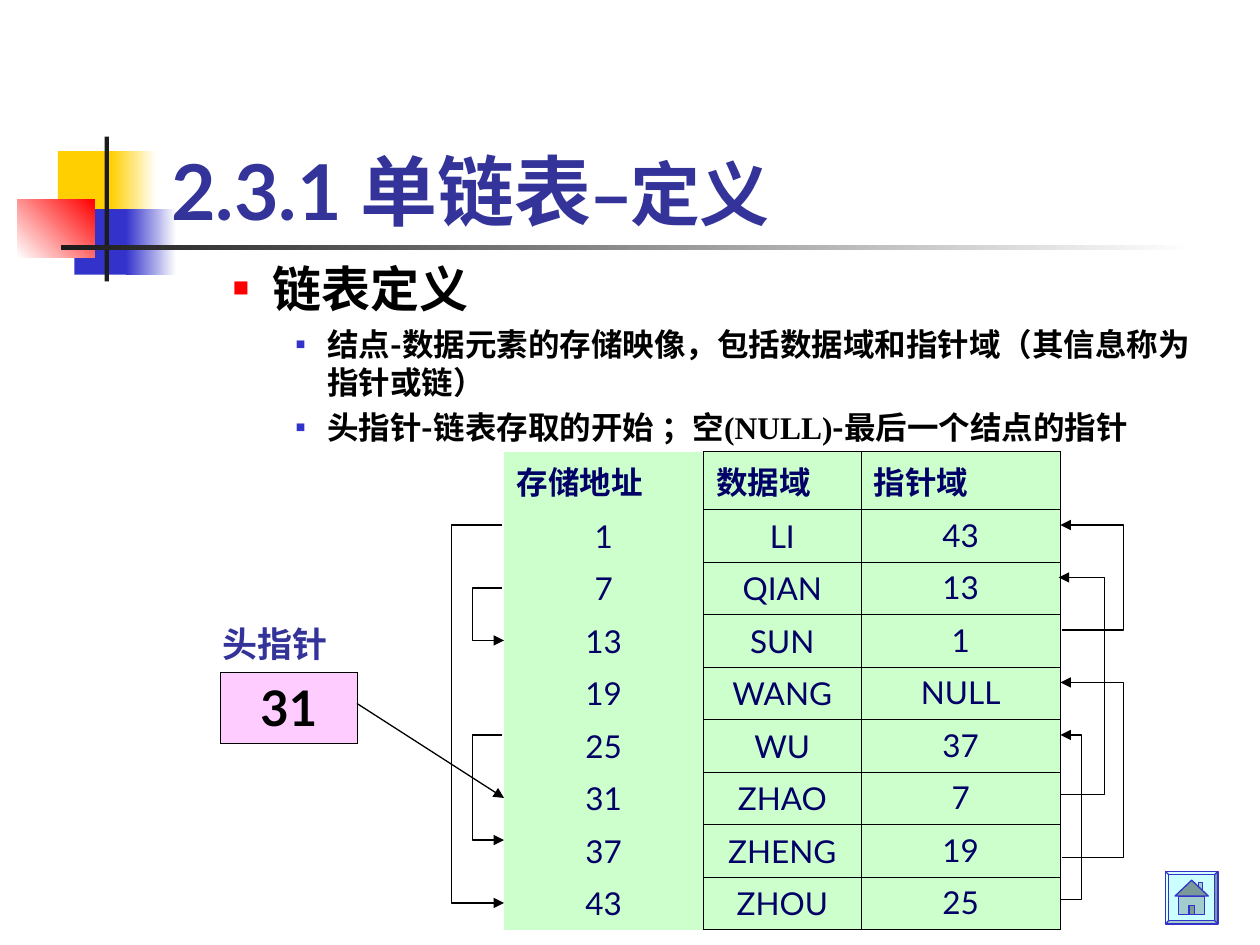
from dataclasses import dataclass
from lxml.etree import SubElement
from pptx import Presentation
from pptx.dml.color import RGBColor
from pptx.enum.shapes import MSO_CONNECTOR, MSO_SHAPE
from pptx.enum.text import MSO_ANCHOR, MSO_AUTO_SIZE, PP_ALIGN
from pptx.oxml.ns import qn
from pptx.util import Pt


@dataclass(frozen=True)
class Theme:
    """Colours, fonts and type sizes of the slide."""
    gold: str = "FFCF01"
    blue: str = "3333CC"
    red: str = "FF0000"
    dark: str = "1C1C1C"
    white: str = "FFFFFF"
    black: str = "000000"
    title: str = "333399"
    navy: str = "000066"
    green: str = "CCFFCC"
    pink: str = "FFCCFF"
    sky: str = "CCFFFF"
    wall: str = "A3CCCC"
    roof: str = "7A9999"
    sans: str = "Lato"
    serif: str = "Times New Roman"
    cjk: str = "Noto Sans CJK SC"
    title_size: int = 44
    subtitle_size: int = 40
    heading_size: int = 28
    label_size: int = 20
    text_size: int = 18
    line: float = 0.75
    border: float = 0.45


class Deck:
    """Holds the theme and the current slide, and draws each kind of element."""

    def __init__(self, prs, theme):
        self.t = theme
        self.s = prs.slides.add_slide(prs.slide_layouts[5])

    def format(self, obj, values):
        for name, value in values.items():
            setattr(obj, name, value)

    def run(self, p, text, size, font, color, bold=True):
        r = p.add_run()
        r.text = text
        self.format(r.font, {"size": Pt(size), "bold": bold, "name": font})
        r.font.color.rgb = RGBColor.from_string(color)
        SubElement(r.font._element, qn("a:ea"), typeface=self.t.cjk)

    def paint(self, sp, fill=None, line=None):
        sp.shadow.inherit = False
        if fill:
            sp.fill.solid()
            sp.fill.fore_color.rgb = RGBColor.from_string(fill)
        else:
            sp.fill.background()
        if line:
            self.stroke(sp, line)
        else:
            sp.line.fill.background()
        return sp

    def stroke(self, sp, color, arrow=False):
        sp.line.width = Pt(self.t.line)
        sp.line.color.rgb = RGBColor.from_string(color)
        if arrow:
            SubElement(sp.line._get_or_add_ln(), qn("a:tailEnd"), type="triangle")

    def box(self, x, y, w, h, fill, line=None, kind=MSO_SHAPE.RECTANGLE):
        sp = self.s.shapes.add_shape(kind, Pt(x), Pt(y), Pt(w), Pt(h))
        return self.paint(sp, fill, line)

    def fade(self, x, y, w, h, start, end, angle=0):
        fill = self.box(x, y, w, h, start).fill
        fill.gradient()
        fill.gradient_angle = angle
        for stop, color in zip(fill.gradient_stops, (start, end)):
            stop.color.rgb = RGBColor.from_string(color)

    def title(self, x, y, w, h, runs):
        sp = self.s.shapes.title
        self.s.shapes._spTree.append(sp._element)
        self.format(sp, {"left": Pt(x), "top": Pt(y), "width": Pt(w), "height": Pt(h)})
        self.format(sp.text_frame, {"vertical_anchor": MSO_ANCHOR.BOTTOM, "word_wrap": True})
        p = sp.text_frame.paragraphs[0]
        p.alignment = PP_ALIGN.LEFT
        for text, size, font in runs:
            self.run(p, text, size, font, self.t.title)

    def text(self, x, y, w, h, wrap=True):
        tf = self.s.shapes.add_textbox(Pt(x), Pt(y), Pt(w), Pt(h)).text_frame
        fit = MSO_AUTO_SIZE.NONE if wrap else MSO_AUTO_SIZE.SHAPE_TO_FIT_TEXT
        self.format(tf, {"word_wrap": wrap, "auto_size": fit})
        return tf

    def bullet(self, p, text, size, left, hang, color, percent):
        """Writes parts split by a bar in the serif and CJK fonts by turns."""
        pPr = p._p.get_or_add_pPr()
        pPr.set("marL", str(Pt(left)))
        pPr.set("indent", str(Pt(-hang)))
        SubElement(SubElement(pPr, qn("a:buClr")), qn("a:srgbClr"), val=color)
        SubElement(pPr, qn("a:buSzPct"), val=str(percent * 1000))
        SubElement(pPr, qn("a:buFont"), typeface=self.t.serif)
        SubElement(pPr, qn("a:buChar"), char="■")
        for i, part in enumerate(text.split("|")):
            if part:
                self.run(p, part, size, (self.t.serif, self.t.cjk)[i % 2], self.t.black)

    def borders(self, cell, sides):
        tcPr = cell._tc.get_or_add_tcPr()
        for i, side in enumerate("LRTB"):
            ln = SubElement(tcPr, qn("a:ln" + side), w=str(Pt(self.t.border)))
            tcPr.insert(i, ln)
            if side in sides:
                SubElement(SubElement(ln, qn("a:solidFill")), qn("a:srgbClr"), val=self.t.black)
            else:
                SubElement(ln, qn("a:noFill"))

    def table(self, x, y, widths, row_h, rows, fill, color, size, sides="LRTB", header=True):
        tb = self.s.shapes.add_table(len(rows), len(widths), Pt(x), Pt(y),
                                     Pt(sum(widths)), Pt(row_h * len(rows))).table
        self.format(tb, {"first_row": False, "horz_banding": False})
        for col, w in zip(tb.columns, widths):
            col.width = Pt(w)
        for i, row in enumerate(rows):
            tb.rows[i].height = Pt(row_h)
            head = header and i == 0
            for j, value in enumerate(row):
                cell = tb.cell(i, j)
                cell.fill.solid()
                cell.fill.fore_color.rgb = RGBColor.from_string(fill)
                self.borders(cell, sides)
                top = head or not header or j == 1
                cell.vertical_anchor = MSO_ANCHOR.TOP if top else MSO_ANCHOR.MIDDLE
                p = cell.text_frame.paragraphs[0]
                p.alignment = PP_ALIGN.LEFT if head else PP_ALIGN.CENTER
                self.run(p, value, size, self.t.sans, color, head or not header)

    def arrow(self, x1, y1, x2, y2):
        sp = self.s.shapes.add_connector(MSO_CONNECTOR.STRAIGHT, Pt(x1), Pt(y1), Pt(x2), Pt(y2))
        self.stroke(sp, self.t.black, True)
        SubElement(sp._element.spPr, qn("a:effectLst"))

    def outline(self, points, close):
        (x, y), *rest = [(Pt(a), Pt(b)) for a, b in points]
        fb = self.s.shapes.build_freeform(x, y)
        fb.add_line_segments(rest, close=close)
        return fb.convert_to_shape()

    def link(self, start, bend, end, y1, y2):
        sp = self.outline([(start, y1), (bend, y1), (bend, y2), (end, y2)], False)
        self.paint(sp)
        self.stroke(sp, self.t.black, True)

    def home(self, x, y, size):
        t = self.t
        self.box(x, y, size, size, t.sky, t.blue, MSO_SHAPE.BEVEL).adjustments[0] = 0.06
        self.box(x + 7.5, y + 14, 15, 10.5, t.wall, t.blue)
        self.box(x + 19, y + 6.5, 2, 6, t.wall, t.blue)
        roof = self.outline([(x + 15, y + 5), (x + 24.5, y + 14), (x + 5.5, y + 14)], True)
        self.paint(roof, t.roof, t.blue)
        self.box(x + 13.5, y + 19.5, 3, 5, t.roof, t.blue)


def main():
    prs = Presentation()
    prs.slide_width, prs.slide_height = Pt(720), Pt(540)
    t = Theme()
    d = Deck(prs, t)

    d.box(33.1, 86.4, 34.6, 37.4, t.gold)
    d.fade(63.4, 86.4, 25.9, 37.4, t.gold, t.white)
    d.box(42.5, 119.5, 33.1, 37.4, t.blue)
    d.fade(72, 119.5, 28.8, 37.4, t.blue, t.white)
    d.fade(10, 113.8, 44, 33.5, t.white, t.red, 45)
    d.box(59.8, 78, 2.4, 82.8, t.dark)
    d.fade(34.8, 140.2, 648, 2.4, t.dark, t.white)

    tf = d.text(90, 144, 612, 324)
    d.bullet(tf.paragraphs[0], "|链表定义", t.heading_size, 58.5, 22.5, t.red, 55)
    for line in ("结点|-数据元素的存储映像，包括|数据域|和|指针域|（其信息称为|指针|或|链|）",
                 "头指针|-链表存取的开始 ；|空(NULL)|-|最后一个结点的指针"):
        p = tf.add_paragraph()
        d.bullet(p, line, t.text_size, 90, 18, t.blue, 50)
        p.space_before = Pt(4.5)
    d.title(90.7, 48.2, 613.4, 90, [
        ("2.3.1 单链表", t.title_size, t.sans), ("–", t.subtitle_size, t.serif),
        ("定义", t.subtitle_size, t.sans)])
    d.home(666, 498, 30)

    nodes = [("存储地址", "数据域", "指针域"), ("1", "LI", "43"), ("7", "QIAN", "13"),
             ("13", "SUN", "1"), ("19", "WANG", "NULL"), ("25", "WU", "37"),
             ("31", "ZHAO", "7"), ("37", "ZHENG", "19"), ("43", "ZHOU", "25")]
    d.table(402, 258, [90, 114], 30, [n[1:] for n in nodes], t.green, t.navy, t.text_size)
    d.table(288, 258, [114], 30, [n[:1] for n in nodes], t.green, t.navy, t.text_size, "R")
    d.table(126, 384, [78], 41, [("31",)], t.pink, t.black, t.heading_size, header=False)
    label = d.text(120.2, 352.1, 75, 31.7, False)
    d.run(label.paragraphs[0], "头指针", t.label_size, t.serif, t.title)

    d.arrow(204, 402, 288, 456)
    for bend, y1, y2 in ((270, 336, 366), (258, 300, 516), (270, 420, 480)):
        d.link(287, bend, 288, y1, y2)
    for start, bend, end, y1, y2 in ((606, 631, 605, 454, 330), (607, 642, 606, 360, 300),
                                     (606, 618, 606, 514, 420), (607, 642, 606, 490, 390)):
        d.link(start, bend, end, y1, y2)
    prs.save("out.pptx")


if __name__ == "__main__":
    main()
